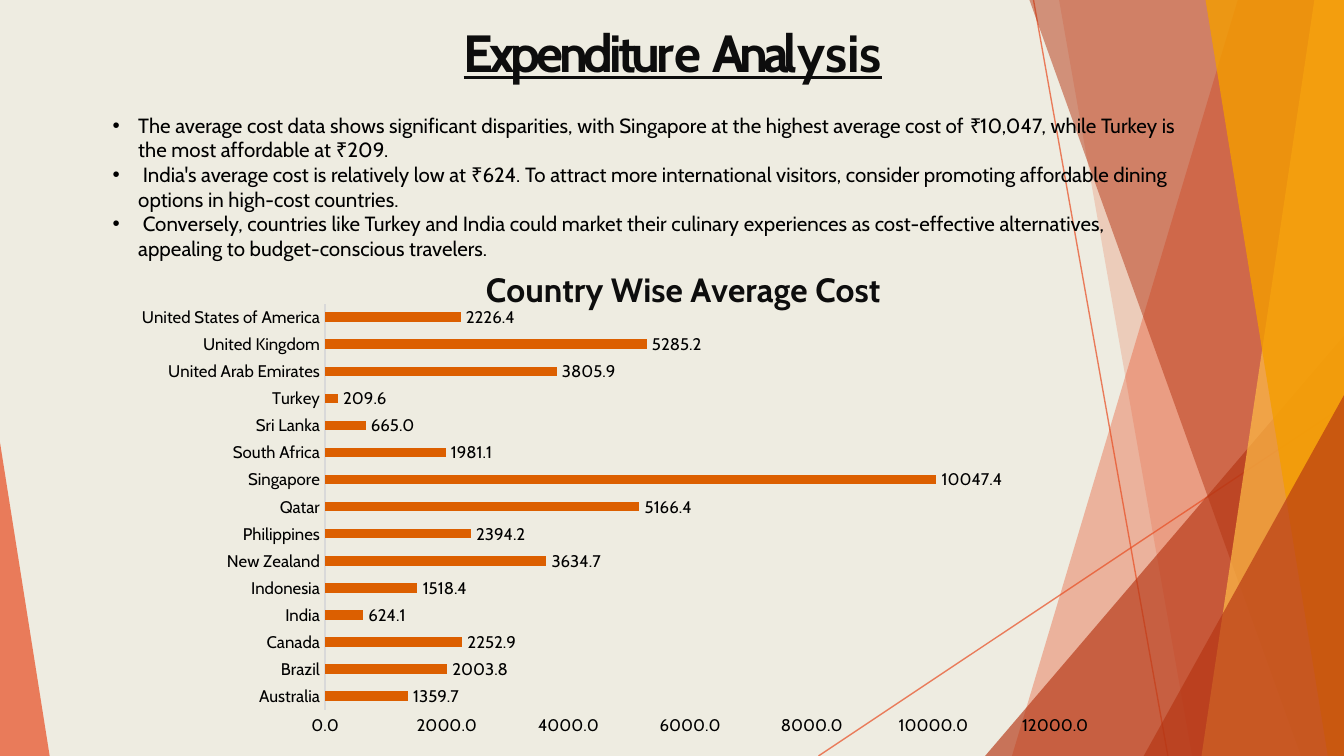
from lxml import etree
from pptx import Presentation
from pptx import util as u
from pptx.chart import data as cd
from pptx.dml import color as dml
from pptx.enum import chart as ce, shapes as se, text as te
from pptx.oxml import ns

PX = 4572
WIDE, HIGH = 2000, 1125
FONT = "Cabin"
BLACK, INK = "000000", "0D0D0D"
RED, RUST, YELLOW, AMBER = "E84C22", "B53513", "FFBD47", "F49D00"


def paint(fill, hex_color, opacity=100):
    fill.solid()
    fill.fore_color.rgb = dml.RGBColor.from_string(hex_color)
    if opacity < 100:
        solid = fill._xPr.find(ns.qn("a:solidFill"))
        etree.SubElement(solid[0], ns.qn("a:alpha"), val=str(opacity * 1000))


def place(parent, index, values):
    old = parent.find(ns.qn("c:layout"))
    if old is not None:
        parent.remove(old)
    layout = etree.Element(ns.qn("c:layout"))
    manual = etree.SubElement(layout, ns.qn("c:manualLayout"))
    for tag, value in values.items():
        etree.SubElement(manual, ns.qn("c:" + tag), val=str(value))
    parent.insert(index, layout)


deck = Presentation()
deck.slide_width, deck.slide_height = WIDE * PX, HIGH * PX
page = deck.slides.add_slide(deck.slide_layouts[6])
paint(page.background.fill, "EEECE1")

for ends in [(1538, 0, 1738, HIGH), (WIDE, 604, 1218, HIGH)]:
    ray = page.shapes.add_connector(se.MSO_CONNECTOR.STRAIGHT, *[end * PX for end in ends])
    paint(ray.line.fill, RED, 70)
    ray.line.width = u.Pt(0.75)
    etree.SubElement(ray._element.spPr, ns.qn("a:effectLst"))

facets = [
    ("band", (1842, 1506), RED, 36),
    ("band", (1576, 1774), RED, 20),
    ("right", (1466, 500, 534, 625), RUST, 66),
    ("band", (1532, 1936), RUST, 50),
    ("band", (1956, 1788), YELLOW, 70),
    ("band", (1794, 1976), AMBER, 80),
    ("right", (1702, 588, 298, 537), RUST, 66),
    ("left", (0, 658, 74, 467), RED, 70),
]
for kind, spots, hex_color, opacity in facets:
    if kind == "band":
        top, bottom = spots
        outline = page.shapes.build_freeform(top, 0, scale=PX)
        outline.add_line_segments([(WIDE, 0), (WIDE, HIGH), (bottom, HIGH)])
        facet = outline.convert_to_shape()
    else:
        facet = page.shapes.add_shape(
            se.MSO_SHAPE.ISOSCELES_TRIANGLE, *[spot * PX for spot in spots])
        facet.adjustments[0] = 1 if kind == "right" else 0
    facet.shadow.inherit = False
    facet.line.fill.background()
    paint(facet.fill, hex_color, opacity)

costs = {
    "Australia": 1359.7,
    "Brazil": 2003.8,
    "Canada": 2252.9,
    "India": 624.1,
    "Indonesia": 1518.4,
    "New Zealand": 3634.7,
    "Philippines": 2394.2,
    "Qatar": 5166.4,
    "Singapore": 10047.4,
    "South Africa": 1981.1,
    "Sri Lanka": 665.0,
    "Turkey": 209.6,
    "United Arab Emirates": 3805.9,
    "United Kingdom": 5285.2,
    "United States of America": 2226.4,
}
table = cd.CategoryChartData(number_format="0.0")
table.categories = list(costs)
table.add_series("Average Cost", list(costs.values()))
frame = page.shapes.add_chart(
    ce.XL_CHART_TYPE.BAR_CLUSTERED, 204 * PX, 372 * PX, 1646 * PX, 728 * PX, table)
chart = frame.chart
chart.has_legend = False
chart.has_title = True
heading = chart.chart_title.text_frame.paragraphs[0].add_run()
heading.text = "Country Wise Average Cost"
place(chart.chart_title._element, 1,
      {"xMode": "edge", "yMode": "edge", "x": 0.31, "y": 0.02})
place(chart._chartSpace.chart.plotArea, 0,
      {"layoutTarget": "inner", "xMode": "edge", "yMode": "edge",
       "x": 0.17, "y": 0.11, "w": 0.66, "h": 0.83})

plot = chart.plots[0]
plot.gap_width = 182
plot.vary_by_categories = False
paint(plot.series[0].format.fill, "DC5F00")
plot.has_data_labels = True
labels = plot.data_labels
label_format = {
    "show_value": True,
    "position": ce.XL_LABEL_POSITION.OUTSIDE_END,
    "number_format": "0.0",
    "number_format_is_linked": False,
}
for name, value in label_format.items():
    setattr(labels, name, value)

countries, amounts = chart.category_axis, chart.value_axis
for axis in (countries, amounts):
    axis.has_major_gridlines = False
    axis.major_tick_mark = axis.minor_tick_mark = ce.XL_TICK_MARK.NONE
paint(countries.format.line.fill, "D9D9D9")
countries.format.line.width = u.Pt(0.75)
amounts.format.line.fill.background()
amount_format = {"minimum_scale": 0, "maximum_scale": 12000, "major_unit": 2000}
for name, value in amount_format.items():
    setattr(amounts, name, value)
amounts.tick_labels.number_format = "0.0"
amounts.tick_labels.number_format_is_linked = False

small = {"size": u.Pt(9), "name": FONT, "bold": False}
styled = [
    (chart.font, BLACK, {"size": u.Pt(10), "name": FONT}),
    (heading.font, INK, {"size": u.Pt(18), "name": FONT, "bold": True}),
    (labels.font, BLACK, small),
    (countries.tick_labels.font, BLACK, small),
    (amounts.tick_labels.font, BLACK, small),
]

findings = [
    "The average cost data shows significant disparities, with Singapore at the highest "
    "average cost of ₹10,047, while Turkey is the most affordable at ₹209.",
    " India's average cost is relatively low at ₹624. To attract more international visitors, "
    "consider promoting affordable dining options in high-cost countries.",
    " Conversely, countries like Turkey and India could market their culinary experiences as "
    "cost-effective alternatives, appealing to budget-conscious travelers.",
]
box = page.shapes.add_textbox(148 * PX, 158 * PX, 1646 * PX, 242 * PX)
box.text_frame.word_wrap = True
for number, finding in enumerate(findings):
    para = box.text_frame.add_paragraph() if number else box.text_frame.paragraphs[0]
    span = para.add_run()
    span.text = finding
    styled.append((span.font, BLACK, {"size": u.Pt(11), "name": FONT}))
    props = para._p.get_or_add_pPr()
    props.set("marL", str(38 * PX))
    props.set("indent", str(-38 * PX))
    etree.SubElement(props, ns.qn("a:buFont"), typeface="Arial")
    etree.SubElement(props, ns.qn("a:buChar"), char="•")

title = page.shapes.add_textbox(262 * PX, 20 * PX, 1478 * PX, 114 * PX)
title.text_frame.word_wrap = True
para = title.text_frame.paragraphs[0]
para.alignment = te.PP_ALIGN.CENTER
title_format = {"size": u.Pt(28), "name": FONT, "bold": True, "underline": True}
title_parts = [("Expenditur", -220), ("e", -140), (" ", -280), ("Anal", -300),
               ("y", -350), ("si", -20), ("s", 10)]
for wording, spacing in title_parts:
    span = para.add_run()
    span.text = wording
    span._r.get_or_add_rPr().set("spc", str(spacing))
    styled.append((span.font, INK, title_format))

for font, hex_color, values in styled:
    paint(font.fill, hex_color)
    for name, value in values.items():
        setattr(font, name, value)

deck.save("out.pptx")
